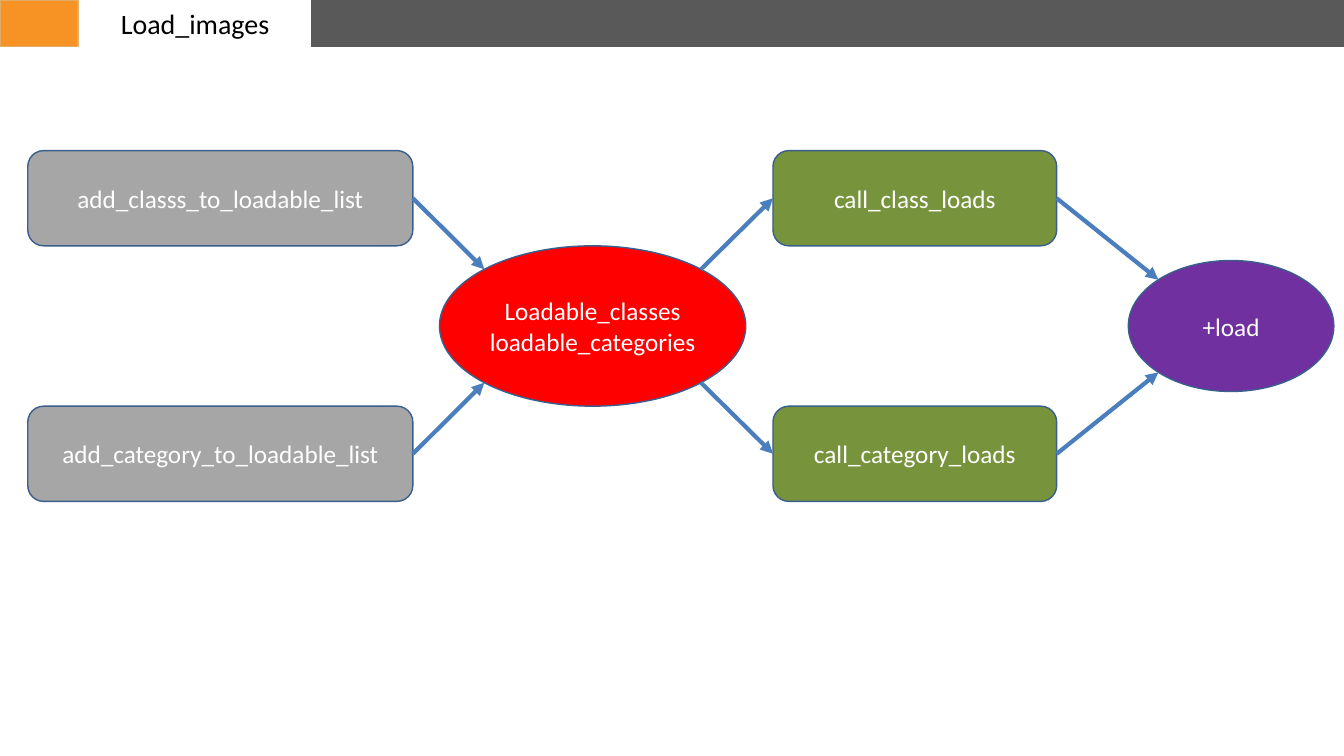
from math import sqrt

from lxml import etree
from pptx import Presentation
from pptx.dml.color import RGBColor
from pptx.enum.shapes import MSO_CONNECTOR, MSO_SHAPE
from pptx.enum.text import MSO_ANCHOR, PP_ALIGN
from pptx.oxml.ns import qn
from pptx.util import Cm, Pt

RECT = MSO_SHAPE.RECTANGLE
ROUNDED = MSO_SHAPE.ROUNDED_RECTANGLE
OVAL = MSO_SHAPE.OVAL
STRAIGHT = MSO_CONNECTOR.STRAIGHT
MIDDLE = MSO_ANCHOR.MIDDLE
CENTER = PP_ALIGN.CENTER

BLACK = RGBColor(0x00, 0x00, 0x00)
WHITE = RGBColor(0xFF, 0xFF, 0xFF)
DARK_GRAY = RGBColor(0x59, 0x59, 0x59)
GRAY = RGBColor(0xA6, 0xA6, 0xA6)
ORANGE = RGBColor(0xF7, 0x92, 0x25)
TAN = RGBColor(0xE2, 0xAC, 0x64)
RED = RGBColor(0xFF, 0x00, 0x00)
GREEN = RGBColor(0x77, 0x93, 0x3C)
PURPLE = RGBColor(0x70, 0x30, 0xA0)
OUTLINE = RGBColor(0x3A, 0x5F, 0x8C)
ARROW = RGBColor(0x4B, 0x7E, 0xBC)

SLIDE_W, SLIDE_H = 67.74, 38.1
HEADER_H = 2.36
ROW_TOPS = (7.59, 20.47)
BOX_H = 4.8


class FlowSlide:
    font = "Calibri"
    title_size = Pt(40)
    node_size = Pt(36)
    outline_width = Pt(2)
    arrow_width = Pt(6)

    def __init__(self, slide):
        self.shapes = slide.shapes

    def set_text(self, sp, text, size, color):
        tf = sp.text_frame
        tf.word_wrap = True
        tf.vertical_anchor = MIDDLE
        tf.text = text
        for p in tf.paragraphs:
            p.alignment = CENTER
            for r in p.runs:
                r.font.name = self.font
                r.font.size = size
                r.font.color.rgb = color

    def block(self, kind, left, top, width, height, fill, line):
        sp = self.shapes.add_shape(kind, Cm(left), Cm(top), Cm(width), Cm(height))
        sp.shadow.inherit = False
        sp.fill.solid()
        sp.fill.fore_color.rgb = fill
        sp.line.color.rgb = line
        sp.line.width = self.outline_width
        return sp

    def title(self, text, left, top, width, height):
        sp = self.shapes.add_textbox(Cm(left), Cm(top), Cm(width), Cm(height))
        self.set_text(sp, text, self.title_size, BLACK)

    def node(self, kind, text, left, top, width, height, fill):
        sp = self.block(kind, left, top, width, height, fill, OUTLINE)
        self.set_text(sp, text, self.node_size, WHITE)
        return sp

    def arrow(self, start, end):
        connector = self.shapes.add_connector(STRAIGHT, *start, *end)
        connector.line.color.rgb = ARROW
        connector.line.width = self.arrow_width
        sp_pr = connector._element.spPr
        etree.SubElement(sp_pr.get_or_add_ln(), qn("a:tailEnd"), type="triangle")
        etree.SubElement(sp_pr, qn("a:effectLst"))


def anchor(sp, side, level=0):
    """Point on the edge: side -1 is left, 1 is right; level -1, 0, 1 is upper, middle, lower.

    Levels other than 0 are the diagonal points of an ellipse.
    """
    reach = 1 / sqrt(2) if level else 1
    x = sp.left + sp.width / 2 * (1 + side * reach)
    y = sp.top + sp.height / 2 * (1 + level * reach)
    return round(x), round(y)


def main():
    prs = Presentation()
    prs.slide_width, prs.slide_height = Cm(SLIDE_W), Cm(SLIDE_H)
    s = FlowSlide(prs.slides.add_slide(prs.slide_layouts[6]))

    s.block(RECT, 15.7, 0, SLIDE_W - 15.7, HEADER_H, DARK_GRAY, DARK_GRAY)
    s.block(RECT, 0, 0, 3.94, HEADER_H, ORANGE, TAN)
    s.title("Load_images", 3.43, 0.18, 12.8, 1.96)

    adders = [s.node(ROUNDED, text, 1.4, top, 19.41, BOX_H, GRAY)
              for text, top in zip(("add_classs_to_loadable_list",
                                    "add_category_to_loadable_list"), ROW_TOPS)]
    loadables = s.node(OVAL, "Loadable_classes\nloadable_categories",
                       22.15, 12.39, 15.44, 8.08, RED)
    callers = [s.node(ROUNDED, text, 38.96, top, 14.3, BOX_H, GREEN)
               for text, top in zip(("call_class_loads", "call_category_loads"), ROW_TOPS)]
    load = s.node(OVAL, "+load", 56.87, 13.13, 10.36, 6.6, PURPLE)

    for level, adder, caller in zip((-1, 1), adders, callers):
        s.arrow(anchor(adder, 1), anchor(loadables, -1, level))
        s.arrow(anchor(loadables, 1, level), anchor(caller, -1))
        s.arrow(anchor(caller, 1), anchor(load, -1, level))

    prs.save("out.pptx")


if __name__ == "__main__":
    main()
